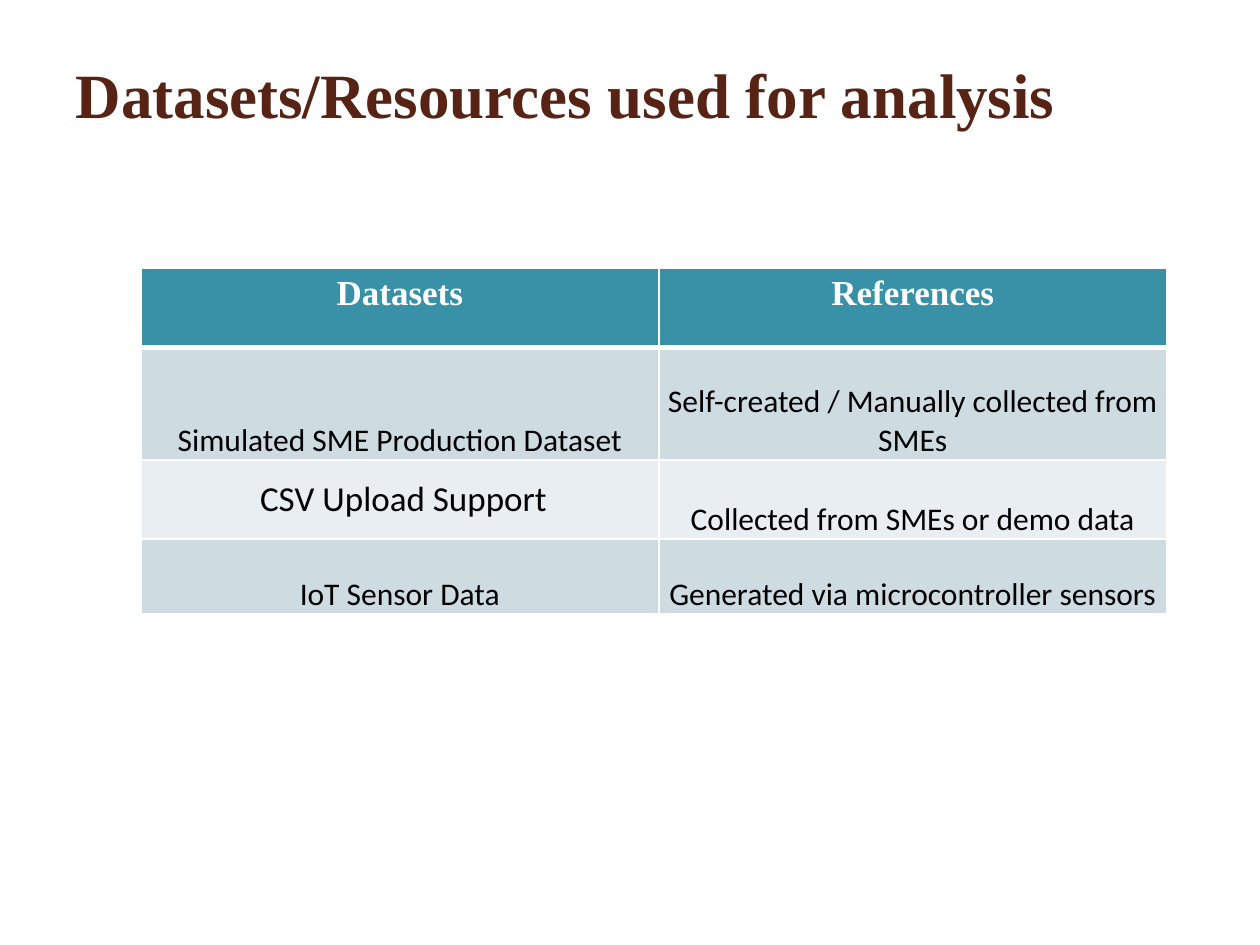
from lxml.etree import SubElement
from pptx import Presentation
from pptx.dml.color import RGBColor as RGB
from pptx.enum.text import MSO_ANCHOR as ANCHOR, MSO_AUTO_SIZE as AUTO, PP_ALIGN as ALIGN
from pptx.oxml.ns import qn
from pptx.util import Cm, Pt

COLORS = {
    "title": "572314",
    "header": "3891A7",
    "odd": "CEDCE1",
    "even": "E8EEF1",
    "white": "FFFFFF",
    "black": "000000",
}
SERIF, SANS = "Times New Roman", "Calibri"
COL_WIDTHS = [10.44, 10.24]
ROW_HEIGHTS = [1.6, 2.26, 1.6, 1.5]
ROWS = [
    ["Datasets", "References"],
    ["Simulated SME Production Dataset", "Self-created / Manually collected from SMEs"],
    ["CSV Upload Support", "Collected from SMEs or demo data"],
    ["IoT Sensor Data", "Generated via microcontroller sensors"],
]


def write(tf, text, font=SANS, size=18, color="black", bold=False,
          align=ALIGN.CENTER, spacing=None):
    p = tf.paragraphs[0]
    p.alignment = align
    if spacing:
        p.line_spacing = Pt(spacing)
    r = p.add_run()
    r.text = text
    r.font.name = font
    r.font.size = Pt(size)
    r.font.bold = bold
    r.font.color.rgb = RGB.from_string(COLORS[color])


class Deck:
    def __init__(self):
        self.prs = Presentation()
        self.prs.slide_width, self.prs.slide_height = Cm(25.4), Cm(19.05)
        self.s = self.prs.slides.add_slide(self.prs.slide_layouts[5])

    def title(self, text, left, top, width, height):
        sp = self.s.shapes.title
        sp.left, sp.top, sp.width, sp.height = Cm(left), Cm(top), Cm(width), Cm(height)
        tf = sp.text_frame
        tf.auto_size = AUTO.NONE
        tf.vertical_anchor = ANCHOR.BOTTOM
        write(tf, text, font=SERIF, size=36, color="title", bold=True,
              align=ALIGN.LEFT, spacing=20)

    def borders(self, cell, **widths):
        tc_pr = cell._tc.get_or_add_tcPr()
        for side in "LRTB":
            ln = SubElement(tc_pr, qn(f"a:ln{side}"), w=str(Pt(widths.get(side, 1))))
            fill = SubElement(ln, qn("a:solidFill"))
            SubElement(fill, qn("a:srgbClr"), val=COLORS["white"])

    def cell(self, cell, text, row, col):
        self.borders(cell, **{0: {"B": 3}, 1: {"T": 3}}.get(row, {}))
        cell.fill.solid()
        fill = "header" if row == 0 else "odd" if row % 2 else "even"
        cell.fill.fore_color.rgb = RGB.from_string(COLORS[fill])
        if row == 0:
            write(cell.text_frame, text, font=SERIF, size=20, color="white", bold=True)
        elif (row, col) == (2, 0):
            cell.vertical_anchor = ANCHOR.MIDDLE
            cell.margin_left = Cm(0.4)
            write(cell.text_frame, text, size=20)
        else:
            cell.vertical_anchor = ANCHOR.BOTTOM
            cell.margin_left = cell.margin_right = cell.margin_top = Cm(0.03)
            cell.margin_bottom = 0
            write(cell.text_frame, text)

    def table(self, rows, left, top, widths, heights):
        table = self.s.shapes.add_table(
            len(rows), len(widths), Cm(left), Cm(top),
            Cm(sum(widths)), Cm(sum(heights))).table
        for column, width in zip(table.columns, widths):
            column.width = Cm(width)
        for i, (texts, height) in enumerate(zip(rows, heights)):
            table.rows[i].height = Cm(height)
            for j, text in enumerate(texts):
                self.cell(table.cell(i, j), text, i, j)


def main():
    deck = Deck()
    deck.title("Datasets/Resources used for analysis", 1.27, 0.61, 21.95, 2.16)
    deck.table(ROWS, 2.84, 5.41, COL_WIDTHS, ROW_HEIGHTS)
    deck.prs.save("out.pptx")


if __name__ == "__main__":
    main()
